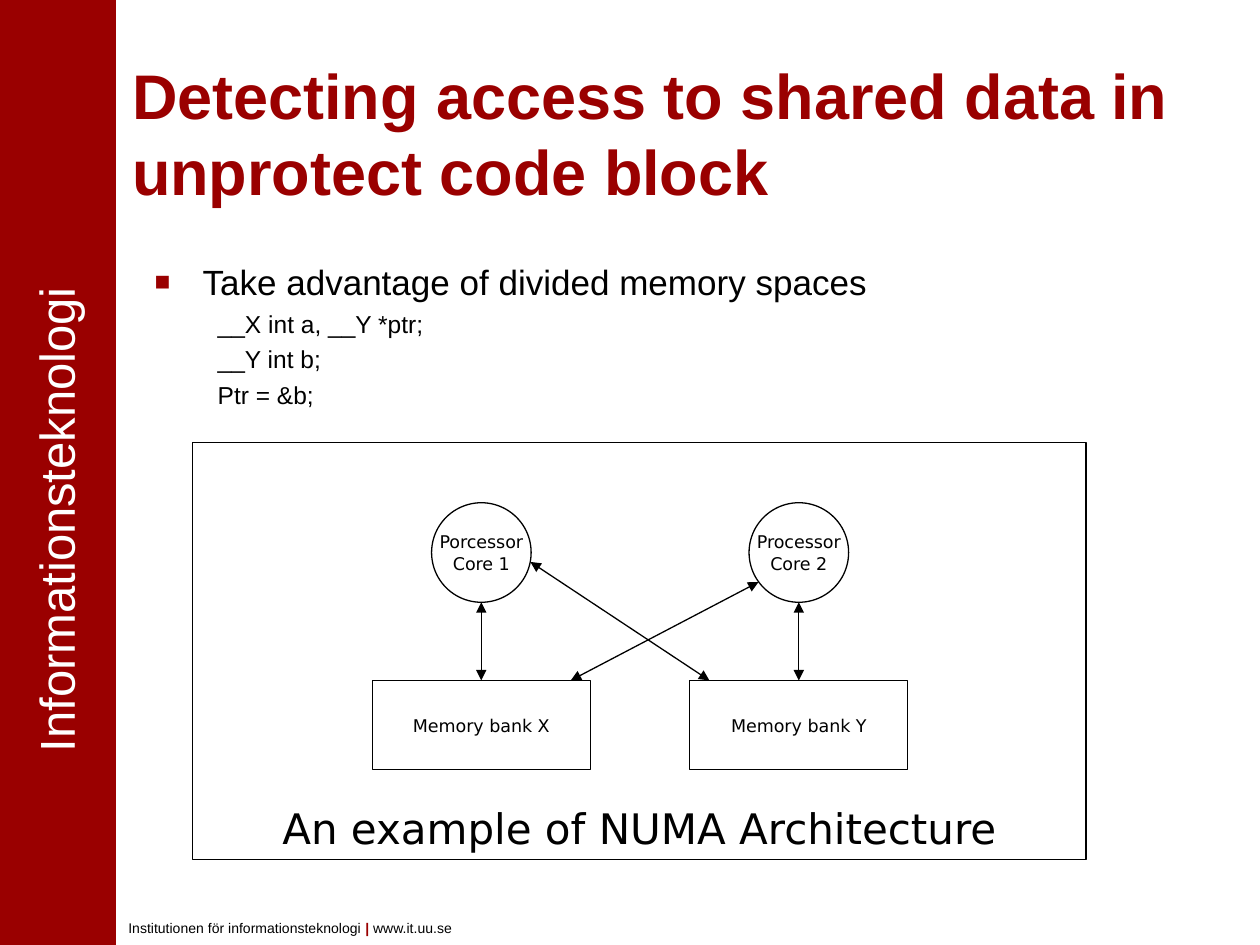
from lxml import etree
from pptx import Presentation
from pptx.dml.color import RGBColor
from pptx.enum.shapes import MSO_CONNECTOR, MSO_SHAPE
from pptx.enum.text import MSO_ANCHOR, PP_ALIGN
from pptx.oxml.ns import qn
from pptx.util import Inches, Pt

RECT, OVAL = MSO_SHAPE.RECTANGLE, MSO_SHAPE.OVAL
STRAIGHT = MSO_CONNECTOR.STRAIGHT
TOP, MIDDLE, BOTTOM = MSO_ANCHOR.TOP, MSO_ANCHOR.MIDDLE, MSO_ANCHOR.BOTTOM
LEFT, CENTER = PP_ALIGN.LEFT, PP_ALIGN.CENTER
RED, BLACK, WHITE = "9A0000", "000000", "FFFFFF"
SANS, DIAGRAM_FONT = "Arial", "DejaVu Sans"

CORE_SIZE, CORE_TOP = 0.79, 3.99
BANK_W, BANK_H, BANK_TOP = 1.73, 0.71, 5.4
NODES = [(3.82, "Porcessor\nCore 1", "Memory bank X"),
         (6.34, "Processor\nCore 2", "Memory bank Y")]
CROSS_LINKS = [((6.02, 4.62), (4.53, BANK_TOP)),
               ((4.21, 4.46), (5.63, BANK_TOP))]
CODE = ["__X int a, __Y *ptr;", "__Y int b;", "Ptr = &b;"]


def rgb(color):
    """Turn a hex string into a colour."""
    return RGBColor.from_string(color)


def style_runs(p, size, color=BLACK, font=SANS, bold=False):
    """Format every run of a paragraph."""
    for r in p.runs:
        r.font.size = Pt(size)
        r.font.name = font
        r.font.bold = bold
        r.font.color.rgb = rgb(color)


def add_text(s, box, text, size, color=BLACK, bold=False, anchor=TOP, align=LEFT):
    """Add a wrapping text box and return it."""
    sp = s.shapes.add_textbox(*map(Inches, box))
    tf = sp.text_frame
    tf.word_wrap = True
    tf.vertical_anchor = anchor
    tf.text = text
    for p in tf.paragraphs:
        p.alignment = align
        style_runs(p, size, color, SANS, bold)
    return sp


def add_node(s, kind, box, text="", size=10, anchor=MIDDLE, fill=WHITE, line=BLACK):
    """Add a flat shape with centred text and return it."""
    sp = s.shapes.add_shape(kind, *map(Inches, box))
    sp.shadow.inherit = False
    sp.fill.solid()
    sp.fill.fore_color.rgb = rgb(fill)
    if line:
        sp.line.color.rgb = rgb(line)
        sp.line.width = Pt(0.75)
    else:
        sp.line.fill.background()
    tf = sp.text_frame
    tf.word_wrap = False
    tf.vertical_anchor = anchor
    tf.text = text
    for p in tf.paragraphs:
        p.alignment = CENTER
        style_runs(p, size, BLACK, DIAGRAM_FONT)
    return sp


def add_double_arrow(s, start, end):
    """Add a straight connector with a triangle at both ends."""
    c = s.shapes.add_connector(STRAIGHT, *map(Inches, start + end))
    c.line.color.rgb = rgb(BLACK)
    c.line.width = Pt(0.75)
    ln = c.line._get_or_add_ln()
    for tag in ("a:headEnd", "a:tailEnd"):
        etree.SubElement(ln, qn(tag), type="triangle")
    etree.SubElement(c._element.spPr, qn("a:effectLst"))
    return c


def set_bullet(p, indent):
    """Give a paragraph a red square bullet with a hanging indent."""
    pPr = p._p.get_or_add_pPr()
    pPr.set("marL", str(Inches(indent)))
    pPr.set("indent", str(-Inches(indent)))
    color = etree.SubElement(pPr, qn("a:buClr"))
    etree.SubElement(color, qn("a:srgbClr"), val=RED)
    etree.SubElement(pPr, qn("a:buSzPct"), val="75000")
    etree.SubElement(pPr, qn("a:buFont"), typeface=SANS)
    etree.SubElement(pPr, qn("a:buChar"), char="■")


def add_branding(s):
    """Add the red side band and the footer."""
    add_node(s, RECT, (0, 0, 0.92, 7.5), fill=RED, line=None)
    side = add_text(s, (-2.52, 3.84, 5.92, 0.57), "Informationsteknologi",
                    28, WHITE, align=CENTER)
    side.rotation = 270
    footer = add_text(s, (0.92, 7.25, 5.92, 0.24),
                      "Institutionen för informationsteknologi ", 8)
    p = footer.text_frame.paragraphs[0]
    for text in ("|", " www.it.uu.se"):
        p.add_run().text = text
    style_runs(p, 8)
    p.runs[1].font.bold = True
    p.runs[1].font.color.rgb = rgb(RED)


def add_body(s):
    """Add the bullet and the code lines below it."""
    sp = add_text(s, (1.13, 2.02, 8.87, 1.73),
                  "Take advantage of divided memory spaces", 20)
    tf = sp.text_frame
    set_bullet(tf.paragraphs[0], 0.38)
    for line in CODE:
        p = tf.add_paragraph()
        p.text = line
        p.level = 1
        p.space_before = Pt(3.5)
        p._p.get_or_add_pPr().set("marL", str(Inches(0.5)))
        style_runs(p, 14)


def add_diagram(s):
    """Add the framed diagram of cores and memory banks."""
    add_node(s, RECT, (1.53, 3.51, 7.09, 3.31),
             "An example of NUMA Architecture", 24, BOTTOM)
    for x, core, bank in NODES:
        add_node(s, OVAL, (x - CORE_SIZE / 2, CORE_TOP, CORE_SIZE, CORE_SIZE), core)
        memory = add_node(s, RECT, (x - BANK_W / 2, BANK_TOP, BANK_W, BANK_H), bank)
        link = add_double_arrow(s, (x, CORE_TOP + CORE_SIZE), (x, BANK_TOP))
        link.end_connect(memory, 0)
    for start, end in CROSS_LINKS:
        add_double_arrow(s, start, end)


def main():
    """Build and save the slide."""
    prs = Presentation()
    prs.slide_width, prs.slide_height = Inches(10), Inches(7.5)
    s = prs.slides.add_slide(prs.slide_layouts[6])
    add_branding(s)
    add_text(s, (0.95, 0.4, 8.93, 1.3),
             "Detecting access to shared data in unprotect code block",
             36, RED, bold=True, anchor=BOTTOM)
    add_body(s)
    add_diagram(s)
    prs.save("out.pptx")


if __name__ == "__main__":
    main()
